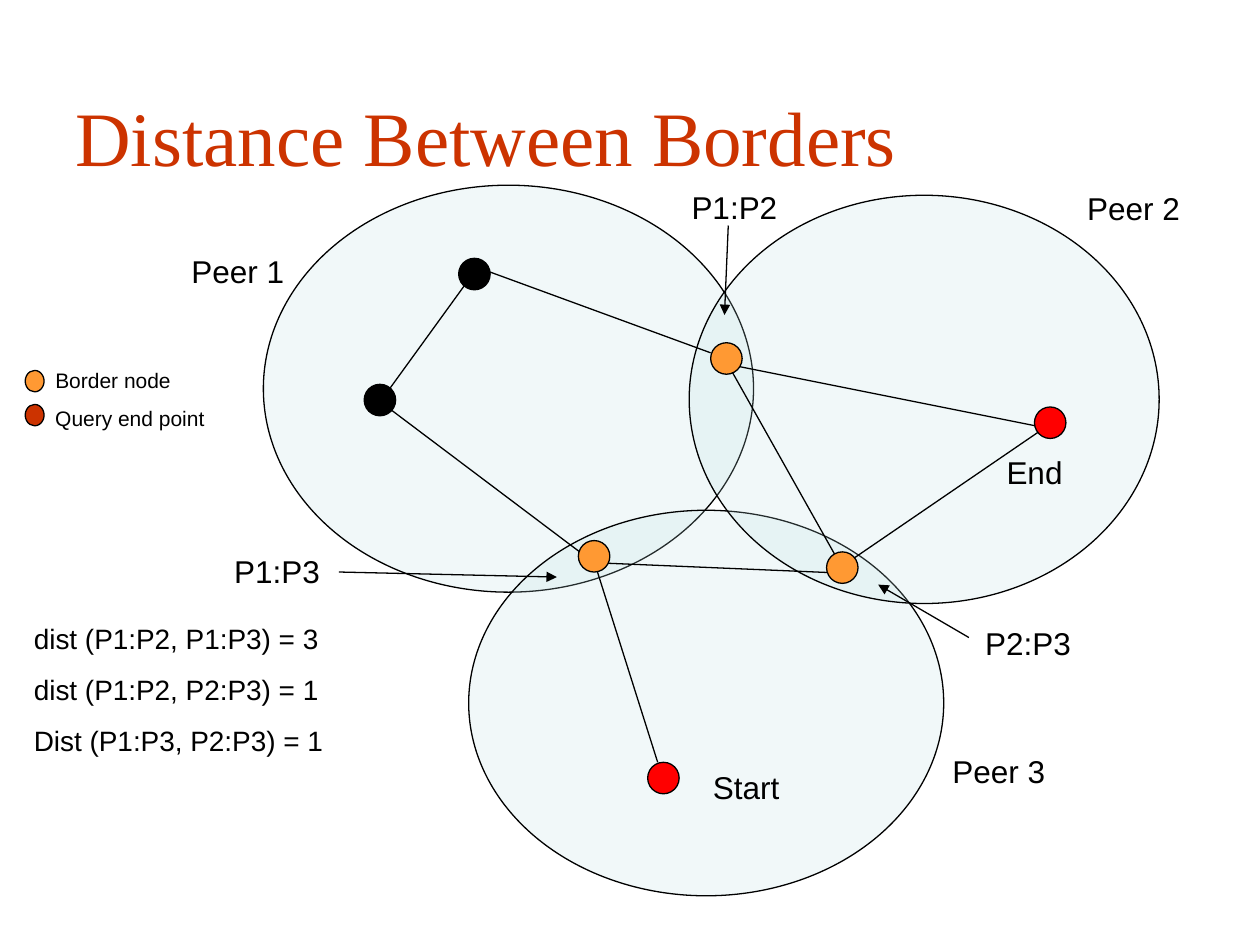
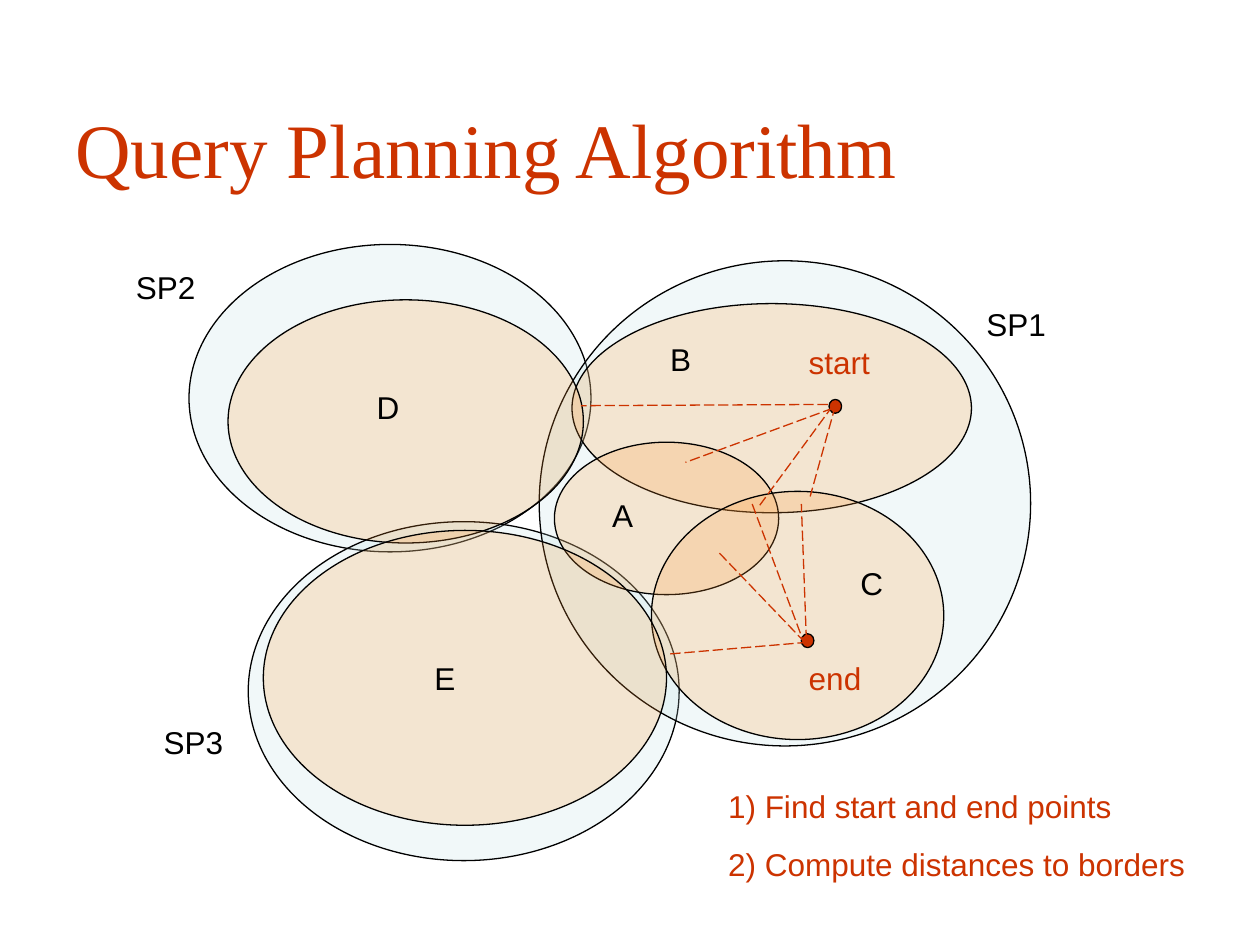
import lxml.etree
import pptx
import pptx.dml.color
import pptx.enum.dml
import pptx.enum.shapes
import pptx.enum.text
import pptx.oxml.ns
import pptx.util
from pptx.util import Inches

RGB = pptx.dml.color.RGBColor
BLACK = RGB(0x00, 0x00, 0x00)
RED = RGB(0xFF, 0x00, 0x00)
RUST = RGB(0xCC, 0x33, 0x00)
ORANGE = RGB(0xFF, 0x99, 0x33)
PALE_BLUE = RGB(0xBB, 0xE0, 0xE3)

TITLE_FONT, BODY_FONT = "Times New Roman", "Arial"
TITLE_SIZE, LABEL_SIZE, DIST_SIZE, LEGEND_SIZE = 44, 18, 16, 12
LINE_WIDTH = 0.75
REGION_OPACITY = 20  # percent
LABEL_HEIGHT = 0.4
NODE_SIZE = (0.25, 0.25)
LEGEND_DOT_SIZE = (0.15, 0.17)
END_POINT_SIZE = (0.1, 0.11)

# Regions are (left, top, width, height); dots (left, top, colour);
# lines (x1, y1, x2, y2); labels (text, left, top, width).
BORDERS_TITLE = ("Distance Between Borders", 0.5, 0.58, 8.83, 1)
PEERS = [
    (2.09, 1.47, 3.89, 3.23),
    (3.72, 4.05, 3.77, 3.06),
    (5.47, 1.55, 3.73, 3.24),
]
ROADS = [
    (3.06, 3.13, 3.72, 2.22),
    (3.81, 2.13, 5.64, 2.8),
    (5.72, 2.88, 8.22, 3.38),
    (4.81, 4.47, 6.72, 4.55),
    (5.22, 6.05, 4.72, 4.47),
    (8.24, 3.43, 6.69, 4.49),
    (4.72, 4.47, 3.06, 3.22),
    (5.81, 2.95, 6.67, 4.48),
]
BORDER_POINTERS = [
    (2.69, 4.54, 4.42, 4.58),
    (7.69, 5.06, 6.97, 4.64),
    (5.78, 1.79, 5.75, 2.5),
]
NODES = [
    (2.89, 3.05, BLACK),
    (3.64, 2.05, BLACK),
    (8.21, 3.23, RED),
    (5.14, 6.05, RED),
    (4.59, 4.29, ORANGE),
    (6.56, 4.38, ORANGE),
    (5.64, 2.72, ORANGE),
]
PEER_LABELS = [
    ("Peer 1", 1.42, 1.95, 1.75),
    ("Peer 2", 8.53, 1.45, 1.07),
    ("Peer 3", 7.46, 5.92, 1.75),
    ("Start", 5.56, 6.05, 1.5),
    ("End", 7.89, 3.55, 1.5),
    ("P1:P3", 1.76, 4.33, 0.9),
    ("P2:P3", 7.72, 4.9, 0.9),
    ("P1:P2", 5.39, 1.44, 0.9),
]
LEGEND_DOTS = [(0.2, 2.94, ORANGE), (0.2, 3.21, RUST)]
LEGEND_LABELS = [
    ("Border node", 0.34, 2.87, 1.15),
    ("Query end point", 0.34, 3.17, 1.4),
]
DISTANCES = [
    "dist (P1:P2, P1:P3) = 3",
    "dist (P1:P2, P2:P3) = 1",
    "Dist (P1:P3, P2:P3) = 1",
]

PLANNING_TITLE = ("Query Planning Algorithm", 0.5, 0.72, 9, 0.9)
SUPER_PEERS = [
    (1.5, 1.94, 3.19, 2.44),
    (1.97, 4.14, 3.42, 2.69),
    (4.28, 2.07, 3.9, 3.85),
]
MAPS = [
    (4.54, 2.41, 3.17, 1.66),
    (4.4, 3.51, 1.78, 1.21),
    (5.17, 3.9, 2.32, 1.97),
    (1.81, 2.38, 2.82, 1.93),
    (2.09, 4.21, 3.2, 2.34),
]
QUERY_POINTS = [(6.58, 3.17, RUST), (6.36, 5.03, RUST)]
BORDER_DISTANCES = [
    (6.57, 3.21, 4.61, 3.22),
    (6.61, 3.24, 5.44, 3.67),
    (6.61, 3.22, 6.03, 4.01),
    (6.63, 3.22, 6.43, 3.94),
    (6.4, 5.08, 6.36, 4),
    (5.71, 4.39, 6.39, 5.1),
    (5.32, 5.19, 6.38, 5.1),
    (5.97, 4, 6.38, 5.1),
]
MAP_LABELS = [
    ("SP2", 0.98, 2.08, 0.7),
    ("SP1", 7.73, 2.37, 0.7),
    ("SP3", 1.2, 5.69, 0.7),
    ("A", 4.76, 3.89, 0.4),
    ("B", 5.22, 2.65, 0.4),
    ("C", 6.73, 4.43, 0.4),
    ("D", 2.89, 3.03, 0.4),
    ("E", 3.35, 5.18, 0.4),
]
QUERY_LABELS = [
    ("start", 6.32, 2.67, 0.81),
    ("end", 6.32, 5.18, 0.81),
    ("1) Find start and end points", 5.68, 6.2, 4.12),
    ("2) Compute distances to borders", 5.68, 6.66, 4.12),
]


def add_text(slide, lines, left, top, width, height, size,
             color=BLACK, font=BODY_FONT, gap=0):
    box = slide.shapes.add_textbox(*map(Inches, (left, top, width, height)))
    frame = box.text_frame
    frame.word_wrap = True
    frame.text = "\n".join(lines)
    for index, paragraph in enumerate(frame.paragraphs):
        if index:
            paragraph.space_before = pptx.util.Pt(gap)
        paragraph.font.name = font
        paragraph.font.size = pptx.util.Pt(size)
        paragraph.font.color.rgb = color
    return frame


def add_title(slide, title):
    text, *place = title
    frame = add_text(slide, [text], *place, TITLE_SIZE, RUST, TITLE_FONT)
    frame.vertical_anchor = pptx.enum.text.MSO_ANCHOR.MIDDLE


def add_labels(slide, labels, size=LABEL_SIZE, color=BLACK, height=LABEL_HEIGHT):
    for text, left, top, width in labels:
        add_text(slide, [text], left, top, width, height, size, color)


def add_xml(parent, tag, **attributes):
    lxml.etree.SubElement(parent, pptx.oxml.ns.qn(tag), **attributes)


def add_ellipse(slide, place, color):
    ellipse = slide.shapes.add_shape(
        pptx.enum.shapes.MSO_SHAPE.OVAL, *map(Inches, place))
    ellipse.shadow.inherit = False
    ellipse.fill.solid()
    ellipse.fill.fore_color.rgb = color
    ellipse.line.color.rgb = BLACK
    ellipse.line.width = pptx.util.Pt(LINE_WIDTH)
    return ellipse


def add_regions(slide, regions, color):
    """Draw see-through ellipses, so that overlaps show."""
    fill_path = "/".join(map(pptx.oxml.ns.qn, ("a:solidFill", "a:srgbClr")))
    for place in regions:
        region = add_ellipse(slide, place, color)
        fill_color = region._element.spPr.find(fill_path)
        add_xml(fill_color, "a:alpha", val=str(REGION_OPACITY * 1000))


def add_dots(slide, dots, size):
    for left, top, color in dots:
        add_ellipse(slide, (left, top, *size), color)


def add_lines(slide, lines, color=BLACK, dashed=False, arrow=False):
    for ends in lines:
        connector = slide.shapes.add_connector(
            pptx.enum.shapes.MSO_CONNECTOR.STRAIGHT, *map(Inches, ends))
        connector.line.color.rgb = color
        connector.line.width = pptx.util.Pt(LINE_WIDTH)
        if dashed:
            connector.line.dash_style = pptx.enum.dml.MSO_LINE.LONG_DASH
        properties = connector._element.spPr
        if arrow:
            add_xml(properties.find(pptx.oxml.ns.qn("a:ln")), "a:tailEnd", type="triangle")
        add_xml(properties, "a:effectLst")


def build_borders(slide):
    add_title(slide, BORDERS_TITLE)
    add_regions(slide, PEERS, PALE_BLUE)
    add_lines(slide, ROADS)
    add_lines(slide, BORDER_POINTERS, arrow=True)
    add_dots(slide, NODES, NODE_SIZE)
    add_labels(slide, PEER_LABELS)
    add_dots(slide, LEGEND_DOTS, LEGEND_DOT_SIZE)
    add_labels(slide, LEGEND_LABELS, LEGEND_SIZE, height=0.3)
    add_text(slide, DISTANCES, 0.17, 4.88, 3.25, 1.59, DIST_SIZE, gap=10)


def build_planning(slide):
    add_title(slide, PLANNING_TITLE)
    add_regions(slide, SUPER_PEERS, PALE_BLUE)
    add_regions(slide, MAPS, ORANGE)
    add_dots(slide, QUERY_POINTS, END_POINT_SIZE)
    add_lines(slide, BORDER_DISTANCES, RUST, dashed=True)
    add_labels(slide, MAP_LABELS)
    add_labels(slide, QUERY_LABELS, color=RUST)


def main():
    deck = pptx.Presentation()
    deck.slide_width, deck.slide_height = Inches(10), Inches(7.5)
    blank = deck.slide_layouts[6]
    for build in (build_borders, build_planning):
        build(deck.slides.add_slide(blank))
    deck.save("out.pptx")


if __name__ == "__main__":
    main()
